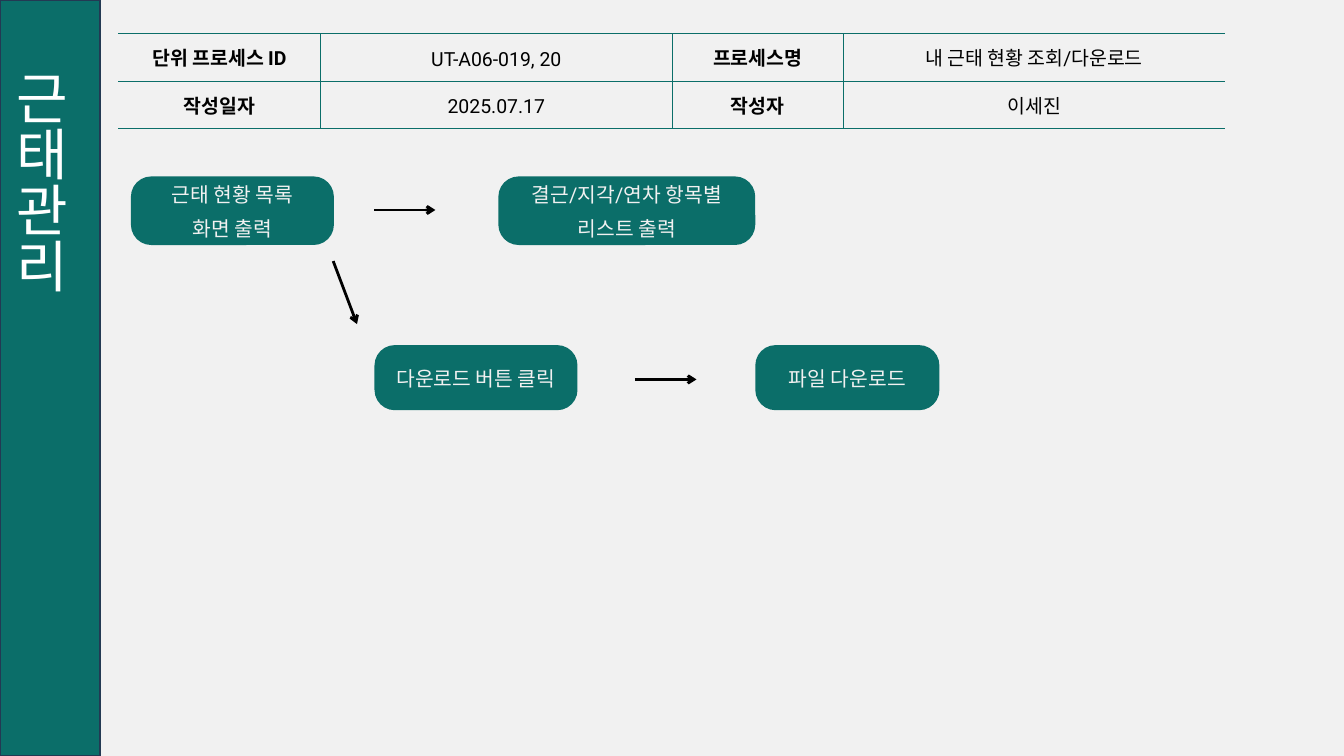
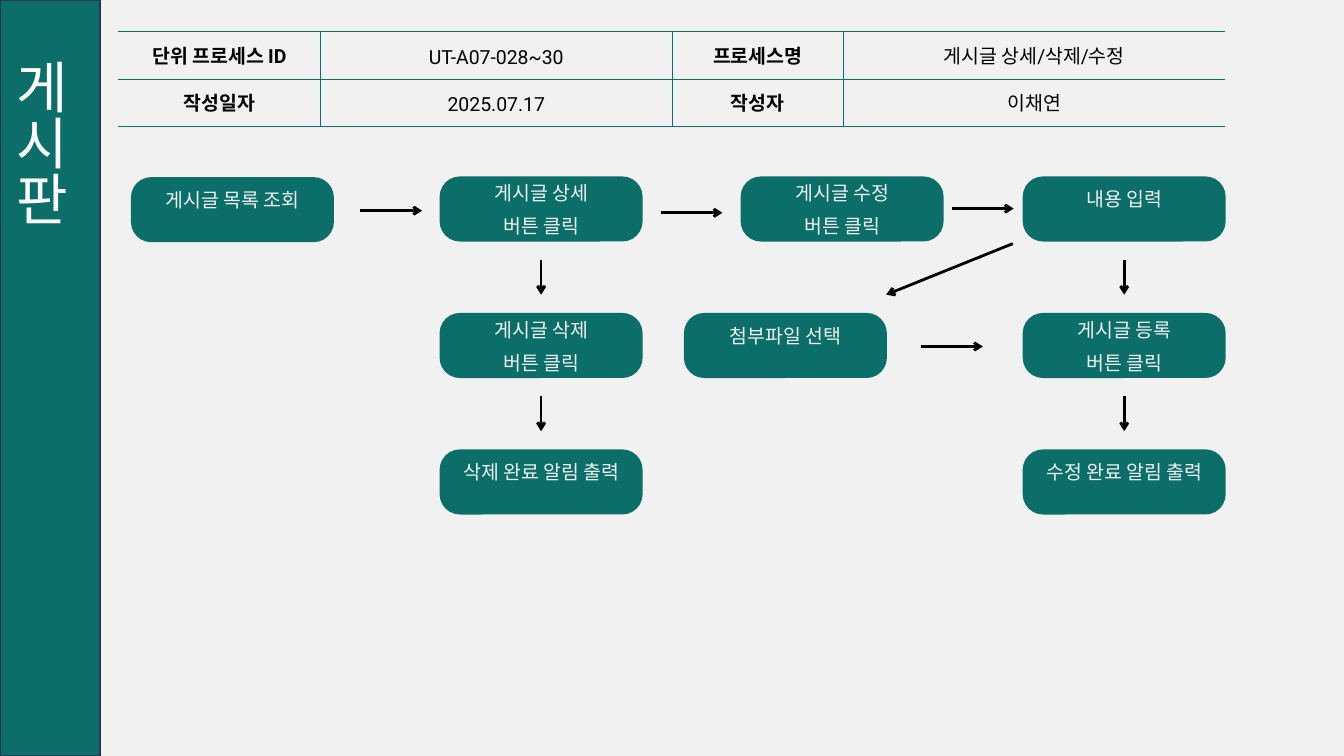
from lxml import etree
from pptx import Presentation
from pptx.dml.color import RGBColor
from pptx.enum.shapes import MSO_CONNECTOR, MSO_SHAPE
from pptx.enum.text import MSO_ANCHOR, MSO_AUTO_SIZE, PP_ALIGN
from pptx.oxml.ns import qn
from pptx.util import Pt

EMU_PER_PX = 9525
SLIDE_W, SLIDE_H = 1920, 1080
BAND_W = 143
TITLE_ONLY = 5
COLORS = {
    "background": "F1F1F1",
    "teal": "0B6E69",
    "band_edge": "233953",
    "black": "000000",
    "white": "FFFFFF",
}
BODY_FONT, TITLE_FONT = "Roboto", "Calibri"
INFO_LEFT, INFO_ROW_H = 169, 68
INFO_COLUMNS = (289, 502, 245, 545)
STEP_W, STEP_H, STEP_RADIUS = 290, 93, 29
STEP_LIFT, HIGH_LIFT = 12, 42

ROUNDED = MSO_SHAPE.ROUNDED_RECTANGLE
STRAIGHT = MSO_CONNECTOR.STRAIGHT
MIDDLE, BOTTOM = MSO_ANCHOR.MIDDLE, MSO_ANCHOR.BOTTOM
CENTER, JUSTIFY = PP_ALIGN.CENTER, PP_ALIGN.JUSTIFY
NO_AUTOFIT = MSO_AUTO_SIZE.NONE


def px(*lengths):
    return [length * EMU_PER_PX for length in lengths]


def rgb(name):
    return RGBColor.from_string(COLORS[name])


def style_paragraph(paragraph, font_name, size, color, bold=False, align=CENTER, spacing=None):
    paragraph.alignment = align
    if spacing:
        paragraph.line_spacing = Pt(spacing)
    font = paragraph.font
    font.name, font.size, font.bold = font_name, Pt(size), bold
    font.color.rgb = rgb(color)


def add_process_slide(prs, menu, indent):
    slide = prs.slides.add_slide(prs.slide_layouts[TITLE_ONLY])
    band = slide.shapes.title
    band.left, band.top, band.width, band.height = px(0, 0, BAND_W, SLIDE_H)
    band.fill.solid()
    band.fill.fore_color.rgb = rgb("teal")
    band.line.color.rgb = rgb("band_edge")
    band.line.width = Pt(2)
    frame = band.text_frame
    frame.text = menu
    frame.auto_size = NO_AUTOFIT
    frame.vertical_anchor = BOTTOM
    frame._txBody.bodyPr.set("vert", "eaVert")
    heading = frame.paragraphs[0]
    properties = heading._p.get_or_add_pPr()
    properties.set("marL", str(indent * EMU_PER_PX))
    properties.set("indent", "0")
    style_paragraph(heading, TITLE_FONT, 60, "white", align=JUSTIFY)
    return slide


def set_borders(cell, visible):
    properties = cell._tc.get_or_add_tcPr()
    for side in ("L", "R", "T", "B"):
        edge = etree.SubElement(properties, qn(f"a:ln{side}"), w=str(Pt(0.75)))
        if side in visible:
            fill = etree.SubElement(edge, qn("a:solidFill"))
            etree.SubElement(fill, qn("a:srgbClr"), val=COLORS["teal"])
        else:
            etree.SubElement(edge, qn("a:noFill"))


def add_info_table(slide, top, process_id, process_name, date, author):
    rows = (
        ("단위 프로세스 ID", process_id, "프로세스명", process_name),
        ("작성일자", date, "작성자", author),
    )
    last = len(INFO_COLUMNS) - 1
    table = slide.shapes.add_table(
        len(rows), len(INFO_COLUMNS),
        *px(INFO_LEFT, top, sum(INFO_COLUMNS), INFO_ROW_H * len(rows)),
    ).table
    table.first_row = table.horz_banding = False
    for column, width in zip(table.columns, INFO_COLUMNS):
        column.width = width * EMU_PER_PX
    for r, row in enumerate(rows):
        for c, value in enumerate(row):
            cell = table.cell(r, c)
            cell.text = value
            cell.vertical_anchor = MIDDLE
            cell.margin_left = cell.margin_right = EMU_PER_PX
            cell.margin_top = cell.margin_bottom = EMU_PER_PX
            set_borders(cell, "TB" + ("L" if c else "") + ("R" if c < last else ""))
            cell.fill.background()
            style_paragraph(cell.text_frame.paragraphs[0], BODY_FONT, 20.8, "black",
                            bold=c % 2 == 0, spacing=29.2)


def add_step(slide, label, left, top, size, spacing, width=STEP_W, height=STEP_H, lift=STEP_LIFT):
    step = slide.shapes.add_shape(ROUNDED, *px(left, top, width, height))
    step.adjustments[0] = STEP_RADIUS / height
    step.shadow.inherit = False
    step.fill.solid()
    step.fill.fore_color.rgb = rgb("teal")
    step.line.fill.background()
    frame = step.text_frame
    frame.text = label
    frame.word_wrap = True
    frame.vertical_anchor = MIDDLE
    frame.margin_left = frame.margin_right = frame.margin_top = 0
    frame.margin_bottom = lift * EMU_PER_PX
    for paragraph in frame.paragraphs:
        style_paragraph(paragraph, BODY_FONT, size, "background", spacing=spacing)


def add_arrow(slide, x1, y1, x2, y2):
    arrow = slide.shapes.add_connector(STRAIGHT, *px(x1, y1, x2, y2))
    arrow.line.color.rgb = rgb("black")
    arrow.line.width = Pt(3)
    properties = arrow._element.spPr
    etree.SubElement(properties.find(qn("a:ln")), qn("a:tailEnd"), type="arrow")
    etree.SubElement(properties, qn("a:effectLst"))


def build_attendance(prs):
    slide = add_process_slide(prs, "근태관리", 96)
    add_info_table(slide, 48, "UT-A06-019, 20", "내 근태 현황 조회/다운로드", "2025.07.17", "이세진")
    for label, left, top, width, height in (
        ("근태 현황 목록\n화면 출력", 187, 252, STEP_W, 98),
        ("결근/지각/연차 항목별\n리스트 출력", 712, 252, 367, 98),
        ("파일 다운로드", 1079, 493, 263, STEP_H),
        ("다운로드 버튼 클릭", 535, 493, STEP_W, STEP_H),
    ):
        add_step(slide, label, left, top, 21.8, 36.9, width, height)
    for ends in ((535, 300, 622, 300), (907, 542, 995, 542), (476, 373, 510, 463)):
        add_arrow(slide, *ends)


def build_board(prs):
    slide = add_process_slide(prs, "게시판", 80)
    add_info_table(slide, 45, "UT-A07-028~30", "게시글 상세/삭제/수정", "2025.07.17", "이채연")
    list_x, detail_x, attach_x, edit_x, entry_x = 187, 628, 977, 1058, 1461
    first_y, second_y, third_y = range(252, 643, 195)
    for label, left, top in (
        ("게시글 목록 조회", list_x, first_y + 1),
        ("게시글 상세\n버튼 클릭", detail_x, first_y),
        ("게시글 수정\n버튼 클릭", edit_x, first_y),
        ("내용 입력", entry_x, first_y),
        ("첨부파일 선택", attach_x, second_y),
        ("게시글 등록\n버튼 클릭", entry_x, second_y),
        ("게시글 삭제\n버튼 클릭", detail_x, second_y),
        ("수정 완료 알림 출력", entry_x, third_y),
        ("삭제 완료 알림 출력", detail_x, third_y),
    ):
        lift = STEP_LIFT if "\n" in label else HIGH_LIFT
        add_step(slide, label, left, top, 20.8, 35.2, lift=lift)
    for left, y in ((515, 301), (944, 304), (1360, 298), (1316, 495)):
        add_arrow(slide, left, y, left + 88, y)
    add_arrow(slide, 1447, 348, 1266, 421)
    for column_x in (detail_x, entry_x):
        center = column_x + STEP_W // 2
        for row_y in (first_y, second_y):
            add_arrow(slide, center, row_y + 119, center, row_y + 169)


def main():
    prs = Presentation()
    prs.slide_width, prs.slide_height = px(SLIDE_W, SLIDE_H)
    backdrop = prs.slide_master.background.fill
    backdrop.solid()
    backdrop.fore_color.rgb = rgb("background")
    build_attendance(prs)
    build_board(prs)
    prs.save("out.pptx")


if __name__ == "__main__":
    main()
